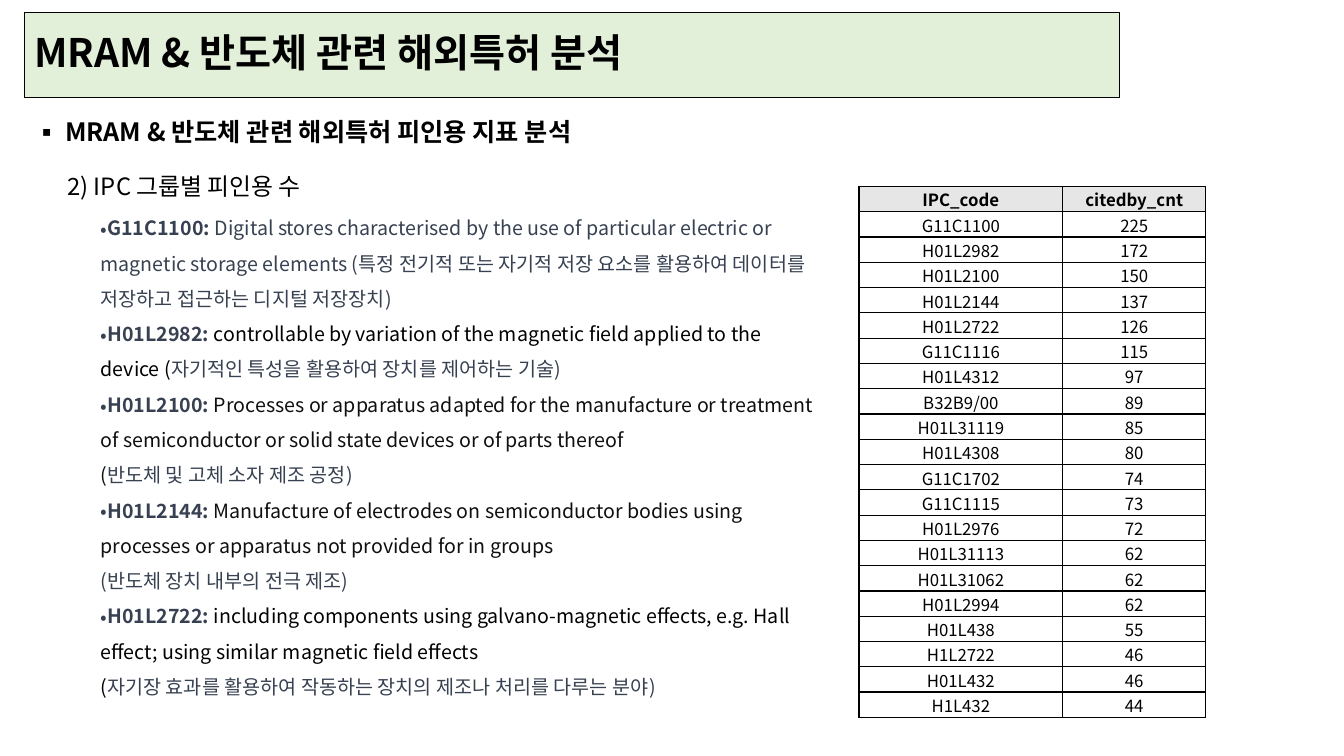
from pptx import Presentation, util as u
from pptx.dml.color import RGBColor
from pptx.enum import text
from pptx.oxml import parse_xml
from pptx.oxml.ns import nsdecls

FONT = "Noto Sans CJK KR"
BLACK, NEAR_BLACK, SLATE = "000000", "0F0F0F", "374151"
PALE_GREEN, PALE_GREY = "E2F0D9", "E7E6E6"

TITLE = "MRAM & 반도체 관련 해외특허 분석"
HEADING = "MRAM & 반도체 관련 해외특허 피인용 지표 분석"
SUBHEADING = "2) IPC 그룹별 피인용 수"

# Code, then (wording, colour) pairs
DEFINITIONS = [
    ("G11C1100: ", [
        ("Digital stores characterised by the use of particular electric or magnetic storage elements "
         "(특정 전기적 또는 자기적 저장 요소를 활용하여 데이터를 저장하고 접근하는 디지털 저장장치)", SLATE)]),
    ("H01L2982: ", [
        ("controllable by variation of the magnetic field applied to the device (", BLACK),
        ("자기적인 특성을 활용하여 장치를 제어하는 기술)", SLATE)]),
    ("H01L2100: ", [
        ("Processes or apparatus adapted for the manufacture or treatment of semiconductor "
         "or solid state devices or of parts thereof \n(", NEAR_BLACK),
        ("반도체 및 고체 소자 제조 공정)", SLATE)]),
    ("H01L2144: ", [
        ("Manufacture of electrodes on semiconductor bodies using processes or apparatus "
         "not provided for in groups \n", NEAR_BLACK),
        ("(반도체 장치 내부의 전극 제조)", SLATE)]),
    ("H01L2722: ", [
        ("including components using galvano-magnetic effects, e.g. Hall effect; "
         "using similar magnetic field effects \n(", BLACK),
        ("자기장 효과를 활용하여 작동하는 장치의 제조나 처리를 다루는 분야)", SLATE)]),
]

CITATIONS = [
    ("IPC_code", "citedby_cnt"),
    ("G11C1100", 225), ("H01L2982", 172), ("H01L2100", 150), ("H01L2144", 137),
    ("H01L2722", 126), ("G11C1116", 115), ("H01L4312", 97), ("B32B9/00", 89),
    ("H01L31119", 85), ("H01L4308", 80), ("G11C1702", 74), ("G11C1115", 73),
    ("H01L2976", 72), ("H01L31113", 62), ("H01L31062", 62), ("H01L2994", 62),
    ("H01L438", 55), ("H1L2722", 46), ("H01L432", 46), ("H1L432", 44),
]
COLUMN_WIDTHS = (2.02, 1.42)
TABLE_HEIGHT = 5.27


def rgb(colour):
    return RGBColor.from_string(colour)


def add_words(paragraph, words, size, colour=BLACK, bold=False):
    """Append formatted runs, with a line break at each newline."""
    for i, line in enumerate(words.split("\n")):
        if i:
            paragraph.add_line_break()
        if not line:
            continue
        run = paragraph.add_run()
        run.text = line
        run.font.size, run.font.bold, run.font.name = u.Pt(size), bold, FONT
        run.font.color.rgb = rgb(colour)
        run._r.rPr.append(parse_xml(f'<a:ea {nsdecls("a")} typeface="{FONT}"/>'))


def add_bullet(paragraph, mark, indent=0):
    properties = paragraph._p.get_or_add_pPr()
    properties.set("marL", str(u.Inches(indent)))
    properties.set("indent", str(-u.Inches(indent)))
    properties.append(parse_xml(f'<a:buFont {nsdecls("a")} typeface="{FONT}"/>'))
    properties.append(parse_xml(f'<a:buChar {nsdecls("a")} char="{mark}"/>'))


def add_box(slide, *place):
    frame = slide.shapes.add_textbox(*map(u.Inches, place)).text_frame
    frame.word_wrap = True
    frame.auto_size = text.MSO_AUTO_SIZE.SHAPE_TO_FIT_TEXT
    return frame


def add_borders(cell):
    properties = cell._tc.get_or_add_tcPr()
    for i, side in enumerate(("lnL", "lnR", "lnT", "lnB")):
        properties.insert(i, parse_xml(
            f'<a:{side} {nsdecls("a")} w="{u.Pt(1)}"><a:solidFill>'
            f'<a:srgbClr val="{BLACK}"/></a:solidFill></a:{side}>'))


def add_title(slide):
    title = slide.shapes.title
    title.left, title.top, title.width, title.height = map(u.Inches, (0.24, 0.12, 10.86, 0.85))
    title.fill.solid()
    title.fill.fore_color.rgb = rgb(PALE_GREEN)
    title.line.color.rgb = rgb(BLACK)
    title.line.width = u.Pt(0.75)
    frame = title.text_frame
    frame.auto_size = text.MSO_AUTO_SIZE.NONE
    frame.vertical_anchor = text.MSO_ANCHOR.MIDDLE
    paragraph = frame.paragraphs[0]
    paragraph.alignment = text.PP_ALIGN.LEFT
    paragraph.line_spacing = 0.9
    add_words(paragraph, TITLE, 28, bold=True)


def add_headings(slide):
    heading = add_box(slide, 0.24, 1.11, 8.84, 0.4).paragraphs[0]
    add_bullet(heading, "▪", 0.31)
    add_words(heading, HEADING, 18, bold=True)
    subheading = add_box(slide, 0.57, 1.51, 6.26, 0.47).paragraphs[0]
    subheading.line_spacing = 1.5
    add_words(subheading, SUBHEADING, 17)


def add_citations(slide):
    place = map(u.Inches, (8.52, 1.85, sum(COLUMN_WIDTHS), TABLE_HEIGHT))
    table = slide.shapes.add_table(len(CITATIONS), len(COLUMN_WIDTHS), *place).table
    table.horz_banding = False
    for column, width in zip(table.columns, COLUMN_WIDTHS):
        column.width = u.Inches(width)
    for r, record in enumerate(CITATIONS):
        for c, value in enumerate(record):
            cell = table.cell(r, c)
            cell.margin_left = cell.margin_right = u.Inches(0.07)
            cell.margin_top = cell.margin_bottom = u.Inches(0.01)
            cell.vertical_anchor = text.MSO_ANCHOR.MIDDLE
            if r == 0:
                cell.fill.solid()
                cell.fill.fore_color.rgb = rgb(PALE_GREY)
            else:
                cell.fill.background()
            add_borders(cell)
            paragraph = cell.text_frame.paragraphs[0]
            paragraph.alignment = text.PP_ALIGN.CENTER
            add_words(paragraph, str(value), 12, bold=r == 0)


def add_definitions(slide):
    frame = add_box(slide, 0.9, 1.98, 7.31, 5)
    for i, (code, parts) in enumerate(DEFINITIONS):
        paragraph = frame.add_paragraph() if i else frame.paragraphs[0]
        paragraph.line_spacing = 1.5
        add_bullet(paragraph, "•")
        add_words(paragraph, code, 14, SLATE, bold=True)
        for words, colour in parts:
            add_words(paragraph, words, 14, colour)


def main():
    deck = Presentation()
    deck.slide_width, deck.slide_height = u.Inches(13.33), u.Inches(7.5)
    slide = deck.slides.add_slide(deck.slide_layouts[5])
    add_title(slide)
    add_headings(slide)
    add_citations(slide)
    add_definitions(slide)
    deck.save("out.pptx")


if __name__ == "__main__":
    main()
